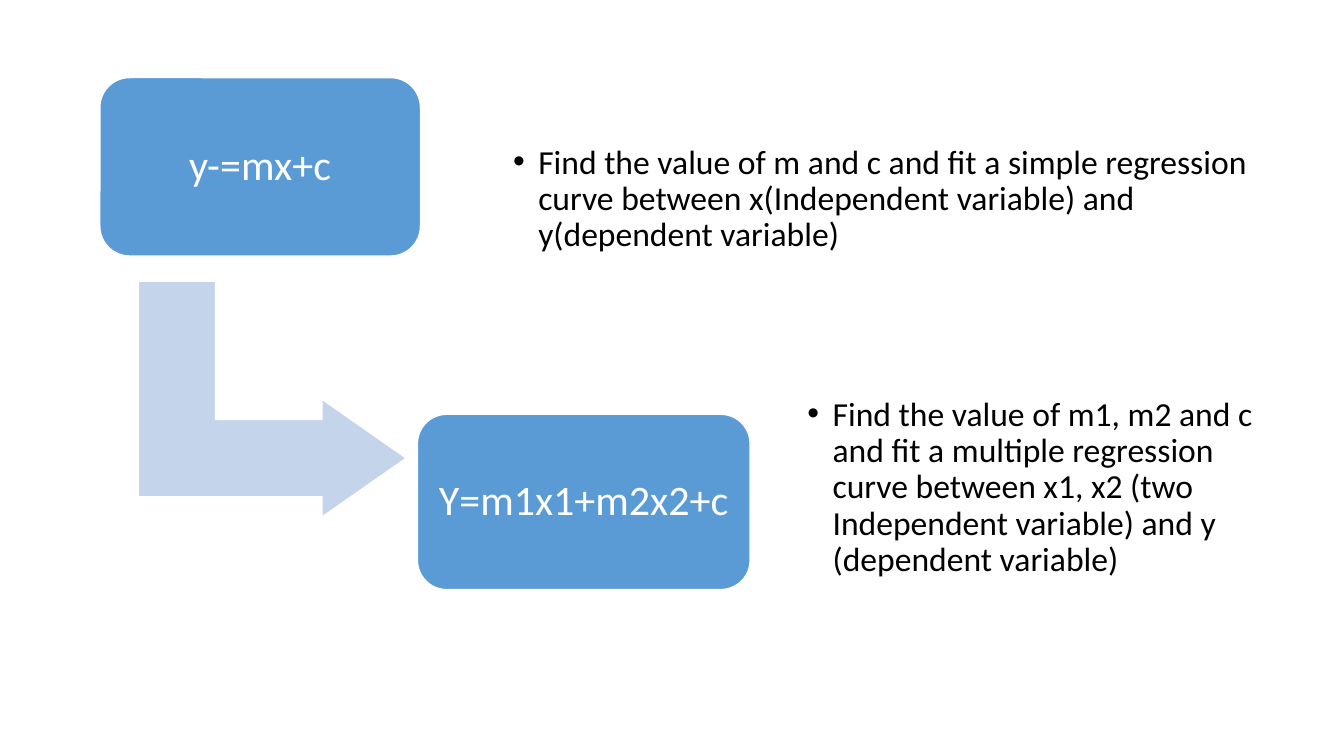
"""Build a slide that steps from simple to multiple regression."""
from pptx import Presentation
from pptx.dml.color import RGBColor
from pptx.enum.shapes import MSO_SHAPE as Preset
from pptx.enum.text import MSO_ANCHOR as Anchor, PP_ALIGN as Align
from pptx.oxml.ns import qn
from pptx.util import Inches, Pt
from lxml.etree import SubElement

BLUE = RGBColor(0x5B, 0x9B, 0xD5)
PALE_BLUE = RGBColor(0xC4, 0xD5, 0xEB)
WHITE = RGBColor(0xFF, 0xFF, 0xFF)
BLACK = RGBColor(0x00, 0x00, 0x00)
FONT = "Calibri"


def add_block(slide, preset, box, fill, adjustments):
    """Add a filled preset shape with a thin white outline."""
    block = slide.shapes.add_shape(preset, *map(Inches, box))
    block.shadow.inherit = False
    block.fill.solid()
    block.fill.fore_color.rgb = fill
    block.line.color.rgb = WHITE
    block.line.width = Pt(1)
    for index, value in enumerate(adjustments):
        block.adjustments[index] = value
    return block


def write(frame, text, size, color, align, margin):
    """Put one vertically centred paragraph in a frame and return it."""
    frame.word_wrap = True
    frame.vertical_anchor = Anchor.MIDDLE
    frame.margin_left = frame.margin_right = Inches(margin)
    frame.margin_top = frame.margin_bottom = Inches(margin)
    frame.text = text
    paragraph = frame.paragraphs[0]
    paragraph.alignment = align
    paragraph.line_spacing = 0.9
    font = paragraph.runs[0].font
    font.name, font.size, font.color.rgb = FONT, Pt(size), color
    return paragraph


def add_equation(slide, box, equation):
    """Add a rounded box holding an equation."""
    card = add_block(slide, Preset.ROUNDED_RECTANGLE, box, BLUE, [0.167])
    write(card.text_frame, equation, 30, WHITE, Align.CENTER, 0.1)


def add_task(slide, box, task):
    """Add a bulleted task beside its equation."""
    note = slide.shapes.add_textbox(*map(Inches, box))
    paragraph = write(note.text_frame, task, 24, BLACK, Align.LEFT, 0.1)
    properties = paragraph._p.get_or_add_pPr()
    properties.set("marL", str(Inches(0.25)))
    properties.set("indent", str(-Inches(0.25)))
    SubElement(properties, qn("a:buFont")).set("typeface", "Arial")
    SubElement(properties, qn("a:buChar")).set("char", "•")


def add_step_arrow(slide, box):
    """Add the bent arrow, turned to lead down and then right."""
    left, top, width, height = box
    shift = (width - height) / 2
    unturned = (left + shift, top - shift, height, width)
    arrow = add_block(slide, Preset.BENT_UP_ARROW, unturned, PALE_BLUE, [0.328, 0.25, 0.358])
    arrow.rotation = 90


STEPS = [
    ((0.99, 0.77, 3.18, 1.77), "y-=mx+c", (4.99, 1.51, 7.61, 0.94),
     "Find the value of m and c and fit a simple regression curve between "
     "x(Independent variable) and y(dependent variable)"),
    ((4.14, 4.11, 3.3, 1.74), "Y=m1x1+m2x2+c", (7.91, 3.73, 4.68, 2.22),
     "Find the value of m1, m2 and c and fit a multiple regression curve between "
     "x1, x2 (two Independent variable) and y (dependent variable)"),
]

deck = Presentation()
deck.slide_width, deck.slide_height = Inches(13.33), Inches(7.5)
regression = deck.slides.add_slide(deck.slide_layouts[6])
add_step_arrow(regression, (1.37, 2.79, 2.66, 2.34))
for equation_box, equation, task_box, task in STEPS:
    add_equation(regression, equation_box, equation)
    add_task(regression, task_box, task)
deck.save("out.pptx")
